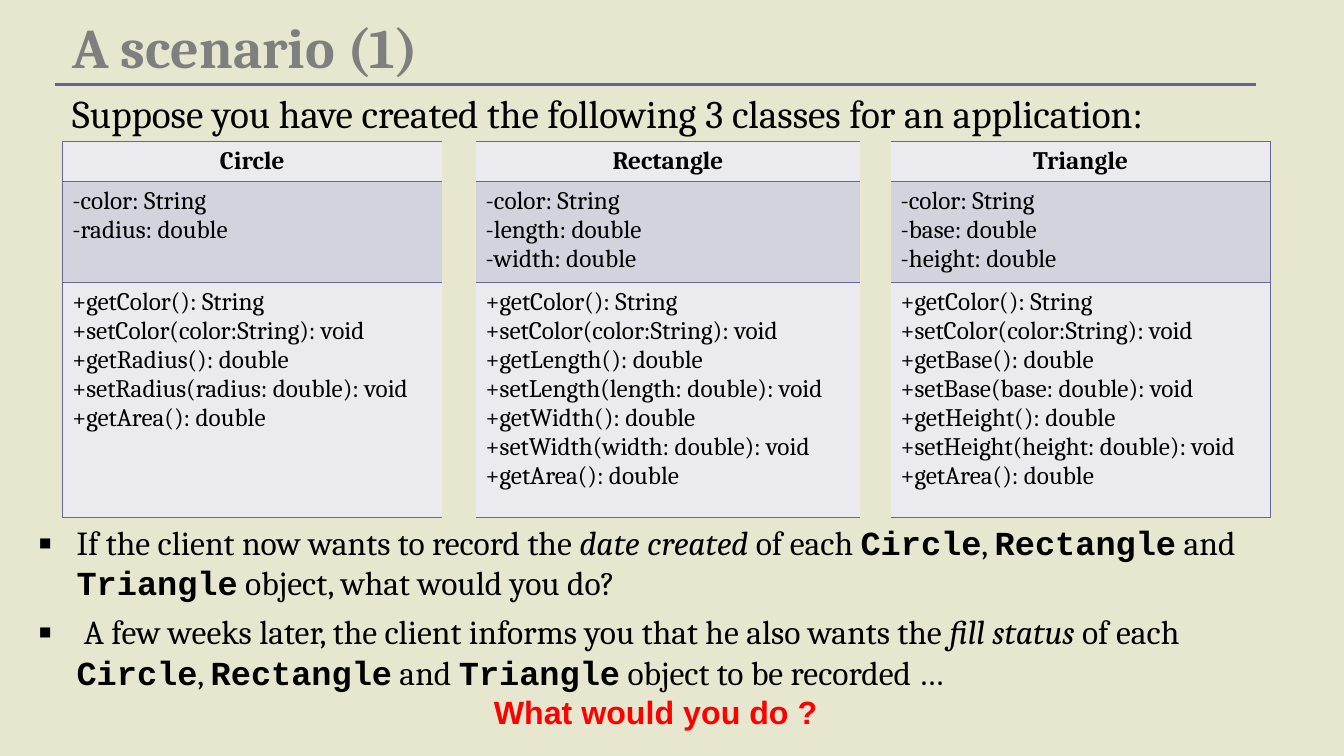
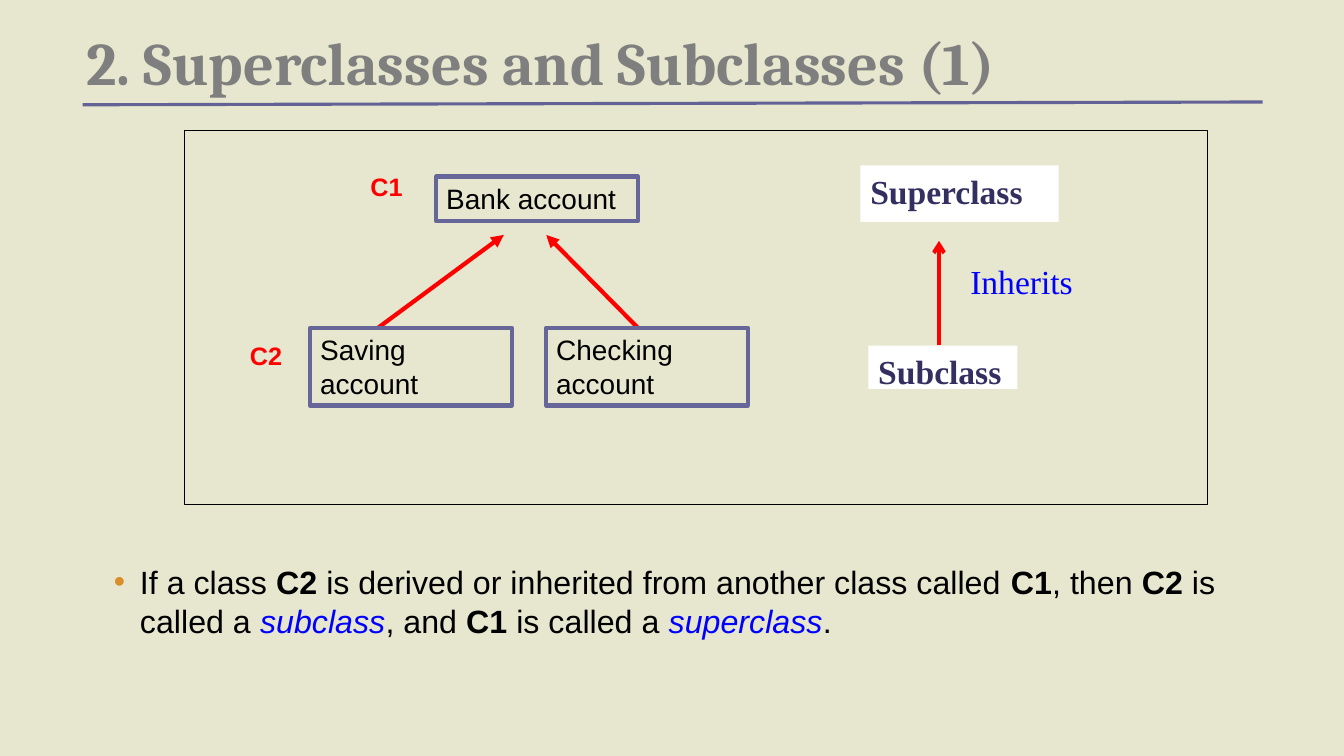
from dataclasses import dataclass, replace

from lxml.etree import SubElement
from pptx import Presentation
from pptx.dml.color import RGBColor as Rgb
from pptx.enum.shapes import MSO_CONNECTOR as Connector, MSO_SHAPE as Shape
from pptx.enum.text import MSO_ANCHOR as Anchor, PP_ALIGN as Align
from pptx.oxml import parse_xml
from pptx.oxml.ns import nsdecls, qn
from pptx.util import Cm, Pt


@dataclass(frozen=True)
class Type:
    size: float
    font: str
    color: str = "000000"
    bold: bool = False
    italic: bool = False


@dataclass(frozen=True)
class Bullet:
    char: str
    color: str
    indent: float
    percent: int = 100


@dataclass(frozen=True)
class Theme:
    paper: str = "E7E7CF"
    rule: str = "626297"
    grid: str = "666699"
    frame: str = "000000"
    arrow: str = "FF0000"
    label_fill: str = "FFFFFF"
    row_fills: tuple = ("EAEAEF", "D3D3DE")
    title: Type = Type(40, "Cambria", "7F7F7F", bold=True)
    intro: Type = Type(28, "Cambria")
    body: Type = Type(24, "Cambria")
    code: Type = Type(24, "Courier New", bold=True)
    cell: Type = Type(18, "Cambria")
    question: Type = Type(23, "Arial", "FF0000", bold=True)
    plain: Type = Type(23, "Arial")
    term: Type = Type(23, "Arial", "0000FF", italic=True)
    account: Type = Type(20, "Arial")
    tag: Type = Type(18, "Arial", "FF0000", bold=True)
    role: Type = Type(24, "Times New Roman", "342F61", bold=True)
    relation: Type = Type(24, "Times New Roman", "0000FF")
    square: Bullet = Bullet("▪", "000000", 0.97, 120)
    dot: Bullet = Bullet("•", "D98E29", 0.66)


THEME = Theme()


def add_bullet(paragraph, bullet):
    props = paragraph._p.get_or_add_pPr()
    indent = Cm(bullet.indent)
    props.set("marL", str(indent))
    props.set("indent", str(-indent))
    color = SubElement(props, qn("a:buClr"))
    SubElement(color, qn("a:srgbClr"), val=bullet.color)
    SubElement(props, qn("a:buSzPct"), val=str(bullet.percent * 1000))
    SubElement(props, qn("a:buFont"), typeface="Arial")
    SubElement(props, qn("a:buChar"), char=bullet.char)


def border_cell(cell, sides, color):
    """Draw the given sides (letters of LRTB) and clear the others."""
    props = cell._tc.get_or_add_tcPr()
    for place, side in enumerate("LRTB"):
        paint = (f'<a:solidFill><a:srgbClr val="{color}"/></a:solidFill>'
                 if side in sides else "<a:noFill/>")
        props.insert(place, parse_xml(
            f'<a:ln{side} {nsdecls("a")} w="{Pt(0.45)}">{paint}</a:ln{side}>'))


class Deck:
    def __init__(self, theme):
        self.theme = theme
        self.prs = Presentation()
        self.prs.slide_width, self.prs.slide_height = Cm(33.88), Cm(19.05)
        paper = self.prs.slide_master.background.fill
        paper.solid()
        paper.fore_color.rgb = Rgb.from_string(theme.paper)
        self.slide = None

    def new_slide(self, title, title_at, size, rule_from, rule_to):
        self.slide = self.prs.slides.add_slide(self.prs.slide_layouts[6])
        style = replace(self.theme.title, size=size)
        heading = self.text(title_at, [[(title, style)]], anchor=Anchor.BOTTOM)
        heading.paragraphs[0].line_spacing = 0.8
        self.line(rule_from, rule_to, self.theme.rule, 2.25)

    def set_text(self, frame, paragraphs, align=Align.LEFT, bullet=None, before=0):
        """Fill a frame with paragraphs, each a list of (text, type) runs."""
        frame.word_wrap = True
        for number, runs in enumerate(paragraphs):
            paragraph = frame.add_paragraph() if number else frame.paragraphs[0]
            paragraph.alignment = align
            paragraph.space_before = Pt(before)
            if bullet:
                add_bullet(paragraph, bullet)
            for words, style in runs:
                run = paragraph.add_run()
                run.text = words
                font = run.font
                font.size, font.name = Pt(style.size), style.font
                font.bold, font.italic = style.bold, style.italic
                font.color.rgb = Rgb.from_string(style.color)

    def text(self, at, paragraphs, anchor=Anchor.TOP, **layout):
        frame = self.slide.shapes.add_textbox(*map(Cm, at)).text_frame
        frame.vertical_anchor = anchor
        self.set_text(frame, paragraphs, **layout)
        return frame

    def box(self, at, paragraphs=(), fill=None, outline=None, weight=0.75):
        box = self.slide.shapes.add_shape(Shape.RECTANGLE, *map(Cm, at))
        box.shadow.inherit = False
        for paint, color in ((box.fill, fill), (box.line.fill, outline)):
            if color:
                paint.solid()
                paint.fore_color.rgb = Rgb.from_string(color)
            else:
                paint.background()
        if outline:
            box.line.width = Pt(weight)
        box.text_frame.vertical_anchor = Anchor.TOP
        self.set_text(box.text_frame, paragraphs)

    def line(self, start, end, color, weight, head=None):
        line = self.slide.shapes.add_connector(
            Connector.STRAIGHT, *map(Cm, (*start, *end)))
        line.line.color.rgb = Rgb.from_string(color)
        line.line.width = Pt(weight)
        props = line._element.spPr
        if head:
            SubElement(props.find(qn("a:ln")), qn("a:tailEnd"), type=head)
        SubElement(props, qn("a:effectLst"))

    def class_table(self, left, top, widths, heights, classes):
        """Place classes (name, fields, methods) side by side, with gap columns."""
        table = self.slide.shapes.add_table(
            len(heights), len(widths), Cm(left), Cm(top),
            Cm(sum(widths)), Cm(sum(heights))).table
        table.first_row = table.horz_banding = False
        for column, width in zip(table.columns, widths):
            column.width = Cm(width)
        for row, height in zip(table.rows, heights):
            row.height = Cm(height)
        last = len(widths) - 1
        for r in range(len(heights)):
            for c in range(len(widths)):
                cell = table.cell(r, c)
                if c % 2:
                    cell.fill.background()
                    border_cell(cell, "", self.theme.grid)
                    continue
                cell.fill.solid()
                cell.fill.fore_color.rgb = Rgb.from_string(
                    self.theme.row_fills[r % 2])
                sides = "TB" + "L" * (c == 0) + "R" * (c == last)
                border_cell(cell, sides, self.theme.grid)
                style = replace(self.theme.cell, bold=r == 0)
                self.set_text(cell.text_frame,
                              [[(entry, style)] for entry in classes[c // 2][r]],
                              align=Align.LEFT if r else Align.CENTER)


def uml_class(name, *fields):
    """Name, fields and methods of a class; each field has a getter and a setter."""
    methods = ["+getColor(): String", "+setColor(color:String): void"]
    for field in fields:
        suffix = field.capitalize()
        methods += [f"+get{suffix}(): double",
                    f"+set{suffix}({field}: double): void"]
    return ([name],
            ["-color: String", *(f"-{field}: double" for field in fields)],
            [*methods, "+getArea(): double"])


def scenario(deck):
    body, code = deck.theme.body, deck.theme.code
    italic = replace(body, italic=True)
    deck.new_slide("A scenario (1)", (1.57, 0.63, 22.66, 1.5), 40,
                   (1.4, 2.13), (31.67, 2.13))
    deck.text((1.57, 2.13, 30.43, 1.5), [[(
        "Suppose you have created the following 3 classes for an application:",
        deck.theme.intro)]])
    deck.class_table(
        1.57, 3.56, (9.58, 0.84, 9.7, 0.76, 9.58), (1.02, 2.54, 5.92),
        [uml_class("Circle", "radius"),
         uml_class("Rectangle", "length", "width"),
         uml_class("Triangle", "base", "height")])

    def request(opening, wish, ending):
        return [(opening, body), (wish, italic), (" of each ", body),
                ("Circle", code), (", ", body), ("Rectangle", code),
                (" and ", body), ("Triangle", code), (ending, body)]

    deck.text((0.71, 13.03, 32.31, 4.98), [
        request("If the client now wants to record the ", "date created",
                " object, what would you do?"),
        request(" A few weeks later, the client informs you that he also wants the ",
                "fill status", " object to be recorded …"),
    ], bullet=deck.theme.square, before=6)
    deck.text((9.45, 17.32, 14.17, 1.24),
              [[("What would you do ?", deck.theme.question)]],
              align=Align.CENTER)


def superclasses(deck):
    theme = deck.theme
    deck.new_slide("2. Superclasses and Subclasses (1)",
                   (1.93, 0.23, 25.1, 2.34), 43, (2.08, 2.64), (31.83, 2.57))
    deck.box((4.65, 3.3, 25.78, 9.42), outline=theme.frame)

    for start, end in (((9.53, 8.26), (12.7, 5.92)),
                       ((16.08, 8.26), (13.77, 5.92))):
        deck.line(start, end, theme.arrow, 3, "triangle")
    for name, left, top, height in (("Bank account", 11, 4.45, 1.12),
                                    ("Saving account", 7.82, 8.26, 1.96),
                                    ("Checking account", 13.77, 8.26, 1.96)):
        deck.box((left, top, 5.08, height), [[(name, theme.account)]],
                 outline=theme.grid, weight=3)
    for tag, at in (("C2", (6.05, 8.46, 2.34, 1.02)),
                    ("C1", (9.09, 4.19, 1.37, 1.02))):
        deck.text(at, [[(tag, theme.tag)]])

    for role, at in (("Superclass", (21.69, 4.17, 5, 1.42)),
                     ("Subclass", (21.89, 8.71, 3.76, 1.09))):
        deck.box(at, [[(role, theme.role)]], fill=theme.label_fill)
    deck.text((24.21, 6.45, 4.42, 2.13), [[("Inherits", theme.relation)]])
    deck.line((23.67, 8.69), (23.67, 6.07), theme.arrow, 2.75, "arrow")

    plain, term = theme.plain, theme.term
    strong = replace(plain, bold=True)
    deck.text((2.62, 14.05, 28.7, 2.21), [[
        ("If a class ", plain), ("C2", strong),
        (" is derived or inherited from another class called ", plain),
        ("C1", strong), (", then ", plain), ("C2", strong),
        (" is called a ", plain), ("subclass", term), (", and ", plain),
        ("C1", strong), (" is called a ", plain), ("superclass", term),
        (".", plain)]], bullet=theme.dot)


def main():
    deck = Deck(THEME)
    scenario(deck)
    superclasses(deck)
    deck.prs.save("out.pptx")


if __name__ == "__main__":
    main()
